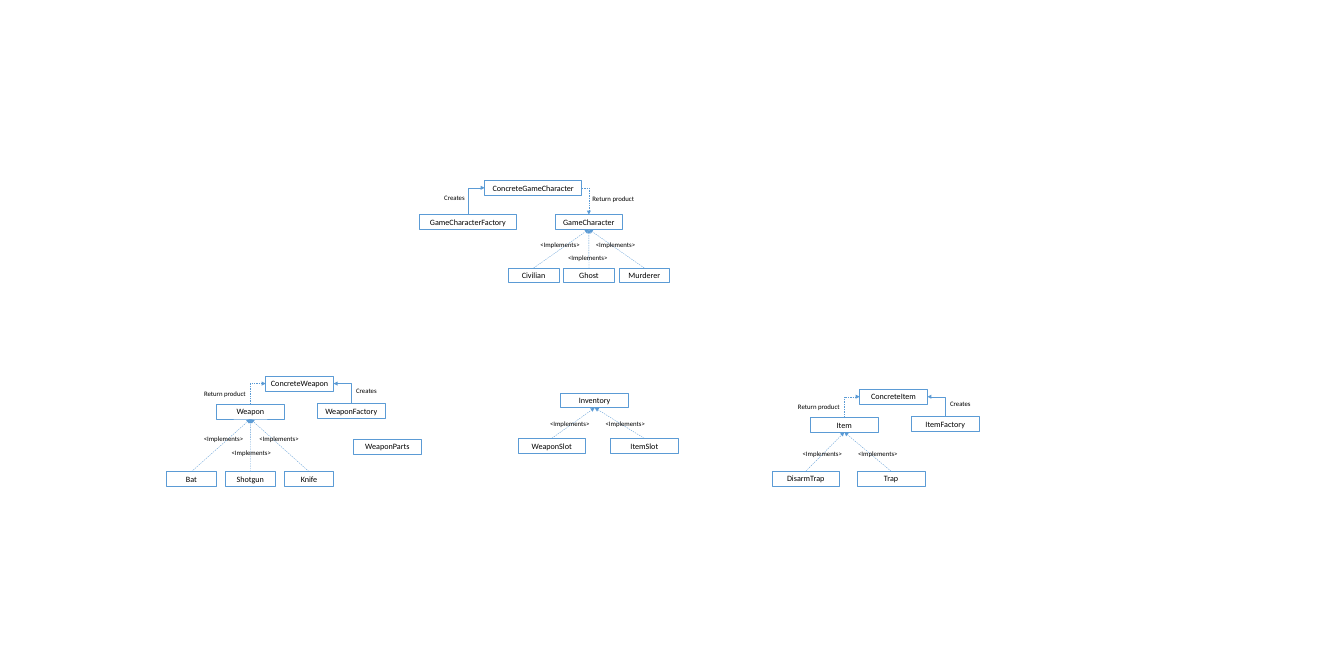
from lxml.etree import SubElement
from pptx import Presentation
from pptx.dml.color import RGBColor
from pptx.enum.dml import MSO_LINE
from pptx.enum.shapes import MSO_CONNECTOR, MSO_SHAPE
from pptx.enum.text import MSO_ANCHOR, MSO_AUTO_SIZE, PP_ALIGN
from pptx.oxml.ns import qn
from pptx.util import Pt

BLUE = RGBColor(0x5B, 0x9B, 0xD5)
WHITE = RGBColor(0xFF, 0xFF, 0xFF)
BLACK = RGBColor(0, 0, 0)

BOX_W, BOX_H = 100, 21.8
LABEL_H = 19.4
LABEL_WIDTHS = {"<Implements>": 73.4, "Return product": 77, "Creates": 45.4}
LABEL_PITCH, LABEL_DROP = 41, 20
TOP, LEFT, BOTTOM, RIGHT = range(4)

BOX_FRAME = {
    "word_wrap": True,
    "auto_size": MSO_AUTO_SIZE.SHAPE_TO_FIT_TEXT,
    "vertical_anchor": MSO_ANCHOR.MIDDLE,
}
LABEL_FRAME = {"word_wrap": False, "auto_size": MSO_AUTO_SIZE.SHAPE_TO_FIT_TEXT}
BOX_FONT = {"name": "Calibri", "size": Pt(12)}
LABEL_FONT = {"name": "Calibri", "size": Pt(10)}


def apply(target, values):
    for name, value in values.items():
        setattr(target, name, value)


def write(sp, text, frame, font, align):
    tf = sp.text_frame
    apply(tf, frame)
    p = tf.paragraphs[0]
    p.alignment = align
    r = p.add_run()
    r.text = text
    apply(r.font, font)
    r.font.color.rgb = BLACK


def class_box(slide, text, left, top, width=BOX_W):
    sp = slide.shapes.add_shape(
        MSO_SHAPE.RECTANGLE, Pt(left), Pt(top), Pt(width), Pt(BOX_H))
    sp.shadow.inherit = False
    sp.fill.solid()
    sp.fill.fore_color.rgb = WHITE
    sp.line.color.rgb = BLUE
    sp.line.width = Pt(1)
    write(sp, text, BOX_FRAME, BOX_FONT, PP_ALIGN.CENTER)
    return sp


def label(slide, text, left, top):
    sp = slide.shapes.add_textbox(
        Pt(left), Pt(top), Pt(LABEL_WIDTHS[text]), Pt(LABEL_H))
    write(sp, text, LABEL_FRAME, LABEL_FONT, PP_ALIGN.LEFT)


def arrow(slide, kind, start, start_side, end, end_side, dashed=True):
    cxn = slide.shapes.add_connector(kind, 0, 0, 0, 0)
    cxn.begin_connect(start, start_side)
    cxn.end_connect(end, end_side)
    cxn.line.color.rgb = BLUE
    cxn.line.width = Pt(0.5)
    if dashed:
        cxn.line.dash_style = MSO_LINE.DASH
    spPr = cxn._element.spPr
    SubElement(spPr.find(qn("a:ln")), qn("a:tailEnd"), type="triangle")
    SubElement(spPr, qn("a:effectLst"))
    return cxn


def elbow(slide, start, start_side, end, end_side, dashed=True):
    cxn = arrow(slide, MSO_CONNECTOR.ELBOW, start, start_side, end, end_side, dashed)
    spPr = cxn._element.spPr
    spPr.find(qn("a:prstGeom")).set("prst", "bentConnector2")
    if start_side != TOP:
        return
    left, top, width, height = cxn.left, cxn.top, cxn.width, cxn.height
    rightward = cxn.end_x > cxn.begin_x
    apply(cxn, {
        "left": left + (width - height) // 2,
        "top": top + (height - width) // 2,
        "width": height,
        "height": width,
    })
    xfrm = spPr.find(qn("a:xfrm"))
    xfrm.set("rot", str((90 if rightward else 270) * 60000))
    xfrm.set("flipH", "1" if rightward else "0")
    xfrm.set("flipV", "1")


def implementation_tree(slide, left, top, parent_name, names, row, label_at):
    parent = class_box(slide, parent_name, left, top)
    row_x, row_y, pitch, width = row
    for i, name in enumerate(names):
        child = class_box(slide, name, left + row_x + i * pitch, top + row_y, width)
        arrow(slide, MSO_CONNECTOR.STRAIGHT, child, TOP, parent, BOTTOM)
    label_x, label_y = label_at
    for i in range(3):
        middle = i == 1
        if middle and len(names) == 2:
            continue
        label(slide, "<Implements>", left + label_x + i * LABEL_PITCH,
              top + label_y + middle * LABEL_DROP)
    return parent


def game_characters(slide, left, top):
    concrete = class_box(slide, "ConcreteGameCharacter", left + 96.5, top, 143.3)
    factory = class_box(slide, "GameCharacterFactory", left, top + 50.4, 143.3)
    product = implementation_tree(
        slide, left + 200.2, top + 50.4, "GameCharacter",
        ["Civilian", "Ghost", "Murderer"], (-69.1, 79, 81.75, 75), (-28.8, 34.6))
    elbow(slide, factory, TOP, concrete, LEFT, dashed=False)
    elbow(slide, concrete, RIGHT, product, TOP)
    label(slide, "Creates", left + 29.5, top + 16.6)
    label(slide, "Return product", left + 248.4, top + 18)


def factory_group(slide, left, top, name, names, row, label_at):
    product = implementation_tree(slide, left, top, name, names, row, label_at)
    concrete = class_box(slide, f"Concrete{name}", left + 72.7, top - 41.4)
    factory = class_box(slide, f"{name}Factory", left + 149, top - 1)
    elbow(slide, product, TOP, concrete, LEFT)
    elbow(slide, factory, TOP, concrete, RIGHT, dashed=False)
    label(slide, "Return product", left - 25.5, top - 25.5)
    label(slide, "Creates", left + 199, top - 30)


def weapons(slide, left, top):
    factory_group(slide, left, top, "Weapon", ["Bat", "Shotgun", "Knife"],
                  (-73.4, 99.5, 86.8, 72.7), (-25.9, 41.8))
    class_box(slide, "WeaponParts", left + 202.3, top + 51.8)


def items(slide, left, top):
    factory_group(slide, left, top, "Item", ["DisarmTrap", "Trap"],
                  (-56.9, 79.5, 126, BOX_W), (-18.7, 43.9))


def inventory(slide, left, top):
    implementation_tree(slide, left, top, "Inventory", ["WeaponSlot", "ItemSlot"],
                        (-63.4, 67, 136.8, BOX_W), (-23, 36))


def main():
    prs = Presentation()
    prs.slide_width, prs.slide_height = Pt(1984.3), Pt(992.2)
    slide = prs.slides.add_slide(prs.slide_layouts[6])
    game_characters(slide, 619.2, 266.4)
    weapons(slide, 319.7, 596.9)
    inventory(slide, 828, 580.3)
    items(slide, 1196.6, 616.3)
    prs.save("out.pptx")


if __name__ == "__main__":
    main()
